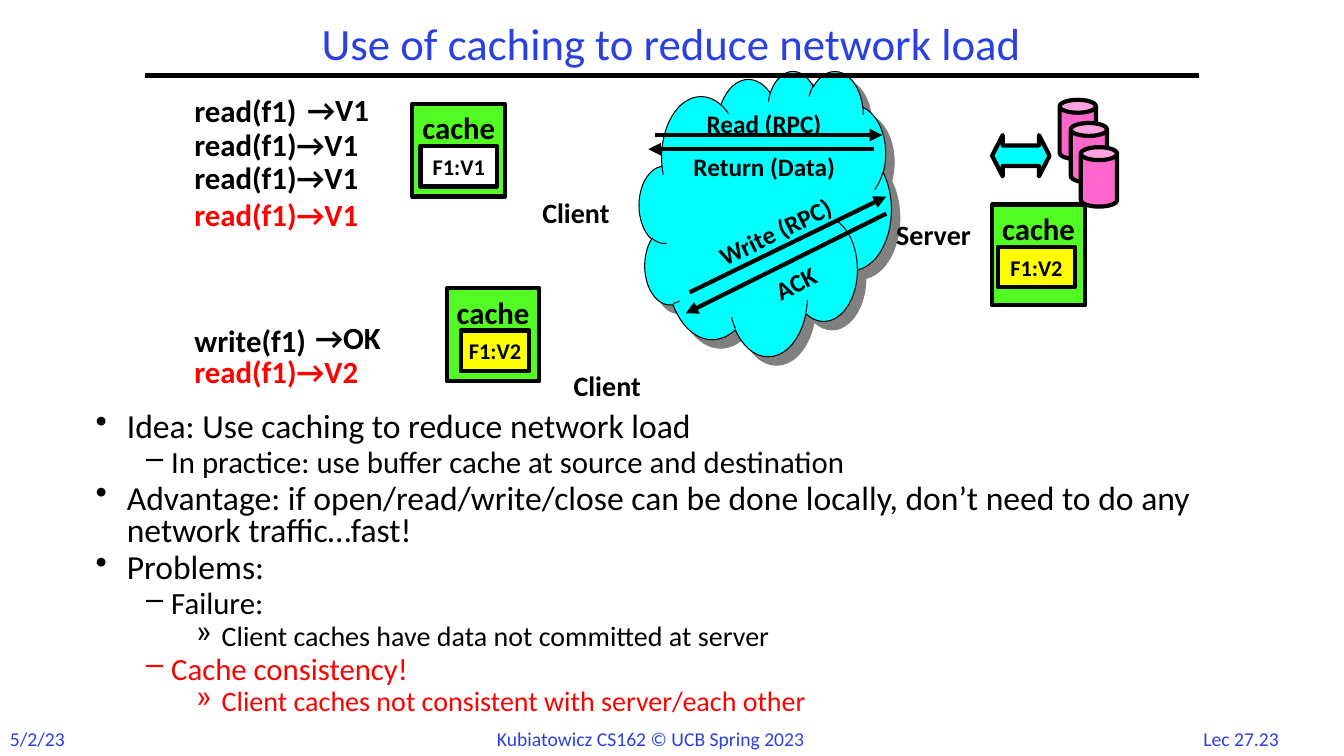
"""Build the slide on using caches to reduce network load."""
from dataclasses import dataclass

import pptx
import pptx.dml.color
import pptx.enum.shapes
import pptx.enum.text
import pptx.oxml
import pptx.oxml.ns
import pptx.util
from lxml import etree

Inches = pptx.util.Inches
Pt = pptx.util.Pt
SHAPE = pptx.enum.shapes.MSO_SHAPE
ALIGN = pptx.enum.text.PP_ALIGN
ANCHOR = pptx.enum.text.MSO_ANCHOR
AUTO_SIZE = pptx.enum.text.MSO_AUTO_SIZE
qn = pptx.oxml.ns.qn


@dataclass(frozen=True)
class Theme:
    font: str = "Calibri"
    blue: str = "2A40E2"
    black: str = "000000"
    red: str = "FF0000"
    green: str = "53FB25"
    yellow: str = "FFFF00"
    white: str = "FFFFFF"
    cyan: str = "00FFFF"
    pink: str = "FF66CC"
    shadow: str = "808080"
    title: int = 32
    body: tuple = (24, 22, 20)
    code: int = 22
    place: int = 20
    message: int = 18
    entry: int = 16
    footer: int = 14
    heavy: float = 3
    thin: float = 0.75


theme = Theme()


def color(value):
    return pptx.dml.color.RGBColor.from_string(value)


def write_text(shape, text, size, tint=theme.black, bold=True, align=ALIGN.LEFT,
               anchor=ANCHOR.TOP, wrap=False):
    frame = shape.text_frame
    frame.word_wrap = wrap
    frame.vertical_anchor = anchor
    frame.text = text
    paragraph = frame.paragraphs[0]
    paragraph.alignment = align
    font = paragraph.runs[0].font
    font.name, font.size, font.bold = theme.font, Pt(size), bold
    font.color.rgb = color(tint)
    return frame


presentation = pptx.Presentation()
presentation.slide_width = Inches(13.33)
presentation.slide_height = Inches(7.5)
slide = presentation.slides.add_slide(presentation.slide_layouts[6])
shapes = slide.shapes

cloud = shapes.add_shape(SHAPE.CLOUD, Inches(6.34), Inches(0.7), Inches(2.5), Inches(2.83))
cloud.shadow.inherit = False
cloud.fill.solid()
cloud.fill.fore_color.rgb = color(theme.cyan)
cloud.line.color.rgb = color(theme.black)
cloud.line.width = Pt(theme.thin)
effects = cloud._element.spPr.find(qn("a:effectLst"))
cloud_shadow = etree.SubElement(effects, qn("a:outerShdw"), blurRad="0", dist=str(Pt(8.5)),
                                dir="2700000", algn="ctr", rotWithShape="0")
etree.SubElement(cloud_shadow, qn("a:srgbClr"), val=theme.shadow)

caches = [
    ((9.84, 2.03, 0.92, 1), (9.9, 2.45, 0.76, 0.4), "F1:V2", theme.yellow),
    ((4.09, 1.03, 0.92, 0.92), (4.17, 1.45, 0.76, 0.4), "F1:V1", theme.white),
    ((4.43, 2.86, 0.92, 0.92), (4.57, 3.28, 0.68, 0.4), "F1:V2", theme.yellow),
]
outlined = []
for cache_box, entry_box, entry, entry_fill in caches:
    outlined.append((SHAPE.RECTANGLE, cache_box, theme.green, (), "cache", theme.code, ANCHOR.TOP))
    outlined.append((SHAPE.RECTANGLE, entry_box, entry_fill, (), entry, theme.entry, ANCHOR.MIDDLE))
for left, top in [(10.51, 0.99), (10.62, 1.22), (10.72, 1.46)]:
    outlined.append((SHAPE.CAN, (left, top, 0.36, 0.59), theme.pink, (0.357,), "", 0, None))
outlined.append((SHAPE.LEFT_RIGHT_ARROW, (9.84, 1.34, 0.57, 0.41), theme.cyan,
                 (0.5, 0.257), "", 0, None))

for kind, box, fill, adjustments, text, size, anchor in outlined:
    shape = shapes.add_shape(kind, *map(Inches, box))
    shape.shadow.inherit = False
    shape.fill.solid()
    shape.fill.fore_color.rgb = color(fill)
    shape.line.color.rgb = color(theme.black)
    shape.line.width = Pt(theme.heavy)
    for index, adjustment in enumerate(adjustments):
        shape.adjustments[index] = adjustment
    if text:
        write_text(shape, text, size, align=ALIGN.CENTER, anchor=anchor)

lines = [
    ((1.44, 0.75, 11.89, 0.75), False),
    ((6.5, 1.34, 8.75, 1.34), True),
    ((8.67, 1.48, 6.43, 1.48), True),
    ((6.84, 2.9, 8.79, 1.95), True),
    ((8.79, 2.12, 6.8, 3.11), True),
]
for ends, has_arrow in lines:
    connector = shapes.add_connector(pptx.enum.shapes.MSO_CONNECTOR.STRAIGHT, *map(Inches, ends))
    connector.line.color.rgb = color(theme.black)
    connector.line.width = Pt(theme.heavy)
    if has_arrow:
        etree.SubElement(connector.line._get_or_add_ln(), qn("a:tailEnd"), type="triangle")
    etree.SubElement(connector._element.spPr, qn("a:effectLst"))

title = shapes.add_textbox(Inches(1.44), Inches(0.17), Inches(10.44), Inches(0.58))
title_frame = write_text(title, "Use of caching to reduce network load", theme.title, theme.blue,
                         bold=False, align=ALIGN.CENTER, anchor=ANCHOR.MIDDLE, wrap=True)
title_frame.paragraphs[0].line_spacing = 0.9

labels = [
    ("5/2/23", (0, 7.16, 0.75, 0.34), theme.footer, theme.blue, ALIGN.LEFT, 0),
    ("Kubiatowicz CS162 © UCB Spring 2023", (4.83, 7.16, 3.68, 0.34), theme.footer, theme.blue,
     ALIGN.LEFT, 0),
    ("Lec 27.23", (11.77, 7.16, 1.08, 0.34), theme.footer, theme.blue, ALIGN.CENTER, 0),
    ("Client", (5.28, 1.89, 0.98, 0.43), theme.place, theme.black, ALIGN.LEFT, 0),
    ("Client", (5.59, 3.61, 0.98, 0.43), theme.place, theme.black, ALIGN.LEFT, 0),
    ("Server", (8.79, 2.11, 1.11, 0.43), theme.place, theme.black, ALIGN.LEFT, 0),
    ("Read (RPC)", (6.91, 1.03, 1.59, 0.4), theme.message, theme.black, ALIGN.LEFT, 0),
    ("Return (Data)", (6.68, 1.45, 1.8, 0.4), theme.message, theme.black, ALIGN.CENTER, 0),
    ("Write (RPC)", (6.98, 2.05, 1.6, 0.4), theme.message, theme.black, ALIGN.LEFT, 334),
    ("ACK", (6.81, 2.61, 2.16, 0.4), theme.message, theme.black, ALIGN.CENTER, 333.5),
]
operations = [
    ("read(f1)", 1.83, 0.86, 1.33, theme.black),
    ("→V1", 2.95, 0.85, 0.88, theme.black),
    ("read(f1)→V1", 1.83, 1.2, 2.02, theme.black),
    ("read(f1)→V1", 1.83, 1.53, 2.02, theme.black),
    ("read(f1)→V1", 1.83, 1.89, 2.02, theme.red),
    ("write(f1)", 1.83, 3.14, 1.4, theme.black),
    ("→OK", 3.03, 3.11, 0.97, theme.black),
    ("read(f1)→V2", 1.83, 3.45, 2.02, theme.red),
]
for text, left, top, width, tint in operations:
    labels.append((text, (left, top, width, 0.47), theme.code, tint, ALIGN.LEFT, 0))
for text, box, size, tint, align, rotation in labels:
    label = shapes.add_textbox(*map(Inches, box))
    label.rotation = rotation
    frame = write_text(label, text, size, tint, bold=size != theme.footer, align=align,
                       wrap=text == "ACK")
    frame.auto_size = AUTO_SIZE.SHAPE_TO_FIT_TEXT

points = [
    (0, "Idea: Use caching to reduce network load", theme.black),
    (1, "In practice: use buffer cache at source and destination", theme.black),
    (0, "Advantage: if open/read/write/close can be done locally, don’t need to do any "
        "network traffic…fast!", theme.black),
    (0, "Problems:", theme.black),
    (1, "Failure:", theme.black),
    (2, "Client caches have data not committed at server", theme.black),
    (1, "Cache consistency!", theme.red),
    (2, "Client caches not consistent with server/each other", theme.red),
]
levels = [("•", 0.31, 0.31), ("–", 0.75, 0.25), ("»", 1.25, 0.25)]
body = shapes.add_textbox(Inches(0.85), Inches(4.05), Inches(11.65), Inches(3.33))
body.text_frame.word_wrap = True
body.text_frame.text = "\n".join(text for level, text, tint in points)
for index, (paragraph, (level, text, tint)) in enumerate(zip(body.text_frame.paragraphs, points)):
    bullet, margin, hanging = levels[level]
    size = theme.body[level]
    properties = paragraph._p.get_or_add_pPr()
    properties.set("marL", str(Inches(margin)))
    properties.set("indent", str(-Inches(hanging)))
    etree.SubElement(properties, qn("a:buChar"), char=bullet)
    paragraph.level = level
    paragraph.line_spacing = 0.8
    paragraph.space_before = Pt(0.15 * size if index else 0)
    font = paragraph.runs[0].font
    font.name, font.size = theme.font, Pt(size)
    font.color.rgb = color(tint)

presentation.save("out.pptx")
